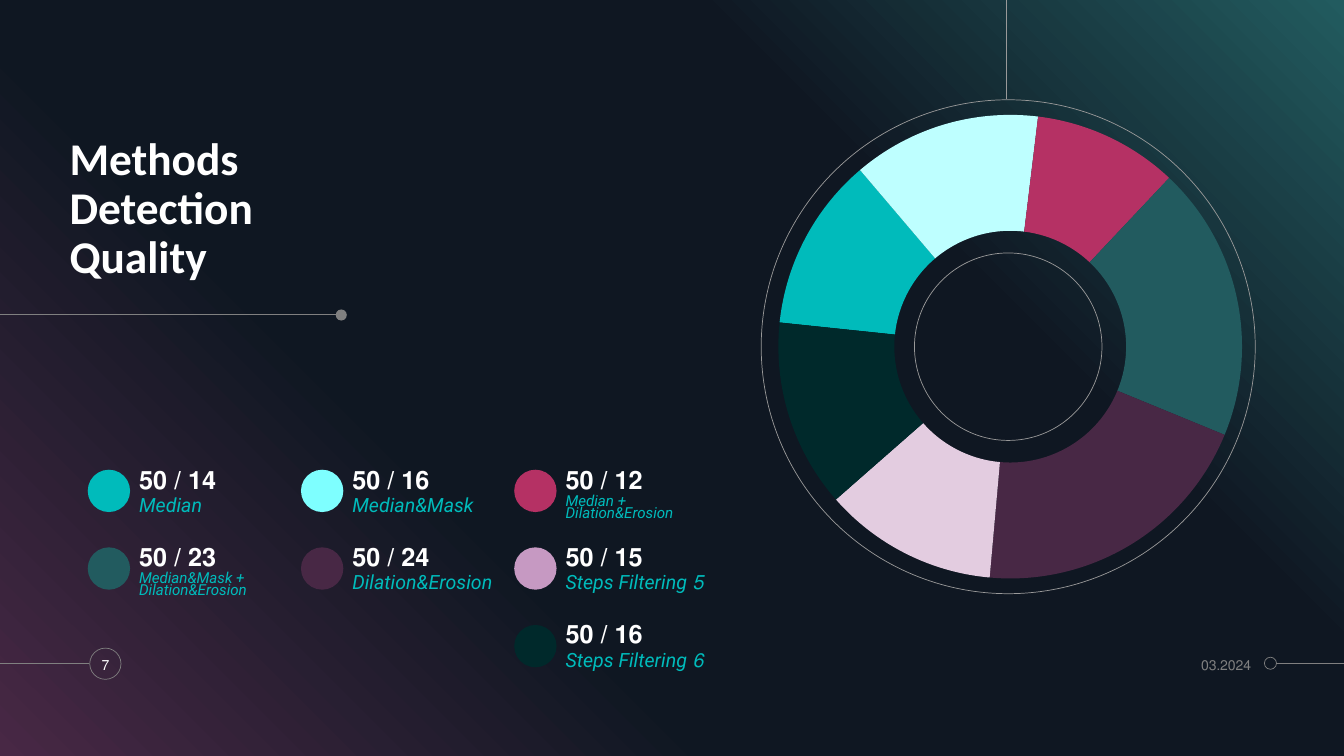
from copy import deepcopy

from lxml.etree import SubElement
from pptx import Presentation
from pptx.chart.data import CategoryChartData
from pptx.dml.color import RGBColor
from pptx.enum.chart import XL_CHART_TYPE
from pptx.enum.shapes import MSO_CONNECTOR, MSO_SHAPE
from pptx.enum.text import MSO_ANCHOR, PP_ALIGN
from pptx.oxml import parse_xml
from pptx.oxml.ns import nsdecls, qn
from pptx.util import Inches, Pt

COLORS = {
    "black": "000000", "white": "FFFFFF", "navy": "0F1722",
    "gray": "808080", "ring": "999999", "aqua": "00BBBB",
    "cyan": "7EFFFF", "ice": "BEFFFF", "rose": "B53164",
    "teal": "225B5F", "plum": "482845", "lilac": "C699C2",
    "pink": "E3CCE0", "pine": "00292B",
}
STOPS = [(0, "plum"), (34, "navy"), (69, "navy"), (100, "teal")]
# column, row, colour, score, method, text size, line spacing
LEGEND = [
    (0, 0, "aqua", "14 / 50", "Median", 14, 0.9),
    (1, 0, "cyan", "16 / 50", "Median&Mask", 14, 0.9),
    (2, 0, "rose", "12 / 50", "Median + Dilation&Erosion", 10.8, 0.7),
    (0, 1, "teal", "23 / 50", "Median&Mask + Dilation&Erosion", 10.8, 0.7),
    (1, 1, "plum", "24 / 50", "Dilation&Erosion", 14, 0.9),
    (2, 1, "lilac", "15 / 50", "5 Steps Filtering", 14, 0.9),
    (2, 2, "pine", "16 / 50", "6 Steps Filtering", 14, 0.9),
]
SHARES = [(12, "aqua"), (13, "ice"), (10, "rose"), (19, "teal"),
          (20, "plum"), (12, "pink"), (13, "pine")]


def rgb(name):
    return RGBColor.from_string(COLORS[name])


def add_back(slide, width, height):
    """Cover the slide with the diagonal gradient."""
    slide.background.fill.solid()
    slide.background.fill.fore_color.rgb = rgb("black")
    back = slide.shapes.add_shape(MSO_SHAPE.RECTANGLE, 0, 0, width, height)
    back.shadow.inherit = False
    back.line.fill.background()
    back.fill.gradient()
    back.fill.gradient_angle = 45
    stops = back.fill.gradient_stops
    first = stops[0]._gs
    for _ in range(len(STOPS) - len(stops)):
        first.addnext(deepcopy(first))
    for stop, (place, color) in zip(back.fill.gradient_stops, STOPS):
        stop.position = place / 100
        stop.color.rgb = rgb(color)


def add_dot(slide, left, top, size, fill=None, line=None):
    dot = slide.shapes.add_shape(
        MSO_SHAPE.OVAL, Inches(left), Inches(top), Inches(size), Inches(size))
    dot.shadow.inherit = False
    if fill:
        dot.fill.solid()
        dot.fill.fore_color.rgb = rgb(fill)
    else:
        dot.fill.background()
    if line:
        dot.line.color.rgb = rgb(line)
        dot.line.width = Pt(0.5)
    else:
        dot.line.fill.background()


def add_line(slide, x1, y1, x2, y2, color="gray"):
    line = slide.shapes.add_connector(
        MSO_CONNECTOR.STRAIGHT, Inches(x1), Inches(y1), Inches(x2), Inches(y2))
    line.line.color.rgb = rgb(color)
    line.line.width = Pt(0.5)
    SubElement(line._element.spPr, qn("a:effectLst"))


def add_text(slide, box, lines, size, color, font="Roboto", bold=False,
             italic=False, anchor=MSO_ANCHOR.TOP, align=PP_ALIGN.LEFT,
             space=1.0, foot=0):
    """Add a right-to-left paragraph; foot is the inset below it."""
    shape = slide.shapes.add_textbox(*[Inches(n) for n in box])
    frame = shape.text_frame
    frame.word_wrap = True
    frame.vertical_anchor = anchor
    frame.margin_left = frame.margin_right = frame.margin_top = 0
    frame.margin_bottom = Inches(foot)
    para = frame.paragraphs[0]
    para.alignment = align
    para.line_spacing = space
    para._p.get_or_add_pPr().set("rtl", "1")
    for i, line in enumerate(lines):
        if i:
            para.add_line_break()
        run = para.add_run()
        run.text = line
        run.font.name = font
        run.font.size = Pt(size)
        run.font.bold = bold
        run.font.italic = italic
        run.font.color.rgb = rgb(color)


def add_key(slide, col, row, color, score, method, size, space):
    """Add one legend entry: dot, score and method."""
    left, top = 0.87 + 2.115 * col, 4.66 + 0.77 * row
    add_dot(slide, left, top, 0.42, fill=color)
    text = left + 0.51
    base = 4.53 + 0.765 * row
    add_text(slide, (text, base, 1.4, 0.38), [score], 18, "white", "Calibri",
             bold=True, anchor=MSO_ANCHOR.BOTTOM, space=0.9)
    add_text(slide, (text, base + 0.39, 1.41, 0.27), [method], size, "aqua",
             italic=True, space=space)


def add_ring(slide):
    data = CategoryChartData()
    data.categories = [str(i + 1) for i in range(len(SHARES))]
    data.add_series("Series 1", [share for share, _ in SHARES])
    chart = slide.shapes.add_chart(
        XL_CHART_TYPE.DOUGHNUT, Inches(7.57), Inches(0.94), Inches(4.9),
        Inches(5), data).chart
    chart.has_legend = chart.has_title = False
    chart.font.name = "Roboto"
    chart.font.size = Pt(10)
    chart.font.color.rgb = rgb("aqua")
    plot = chart.plots[0]
    plot.vary_by_categories = False
    for i, (_, color) in enumerate(SHARES):
        part = plot.series[0].points[i].format
        part.fill.solid()
        part.fill.fore_color.rgb = rgb(color)
        part.line.fill.background()
    ring = plot._element
    ring.find(qn("c:firstSliceAng")).set("val", "276")
    ring.find(qn("c:holeSize")).set("val", "49")
    area = ring.getparent()
    for old in area.findall(qn("c:layout")):
        area.remove(old)
    sizes = {"x": 0.03, "y": 0.04, "w": 0.94, "h": 0.92}
    marks = "".join(f'<c:{k} val="{v}"/>' for k, v in sizes.items())
    area.insert(0, parse_xml(
        f'<c:layout {nsdecls("c")}><c:manualLayout>'
        '<c:layoutTarget val="inner"/><c:xMode val="edge"/>'
        f'<c:yMode val="edge"/>{marks}</c:manualLayout></c:layout>'))


def main():
    deck = Presentation()
    deck.slide_width, deck.slide_height = Inches(13.33), Inches(7.5)
    slide = deck.slides.add_slide(deck.slide_layouts[6])
    add_back(slide, deck.slide_width, deck.slide_height)

    add_line(slide, 0, 3.12, 3.39, 3.12)
    add_dot(slide, 3.33, 3.07, 0.11, fill="gray")
    add_text(slide, (0.69, 2.01, 2.44, 1.29),
             ["Methods", "Detection", "Quality"], 32.4, "white", "Calibri",
             bold=True, anchor=MSO_ANCHOR.BOTTOM, space=0.9, foot=0.49)

    add_dot(slide, 7.55, 0.99, 4.9, line="ring")
    add_dot(slide, 9.07, 2.51, 1.86, line="ring")
    add_line(slide, 9.98, 0.98, 9.98, 0, "ring")
    add_ring(slide)

    for key in LEGEND:
        add_key(slide, *key)

    add_line(slide, 0, 6.58, 0.88, 6.58)
    add_dot(slide, 0.89, 6.43, 0.31, line="gray")
    add_text(slide, (0.85, 6.43, 0.39, 0.33), ["7"], 10, "white",
             anchor=MSO_ANCHOR.MIDDLE, align=PP_ALIGN.CENTER)
    add_line(slide, 12.66, 6.58, 13.33, 6.58)
    add_dot(slide, 12.54, 6.52, 0.12, line="gray")
    add_text(slide, (10.95, 6.43, 1.46, 0.33), ["03.2024"], 10, "gray",
             anchor=MSO_ANCHOR.MIDDLE, align=PP_ALIGN.RIGHT)


    deck.save("out.pptx")


if __name__ == "__main__":
    main()
